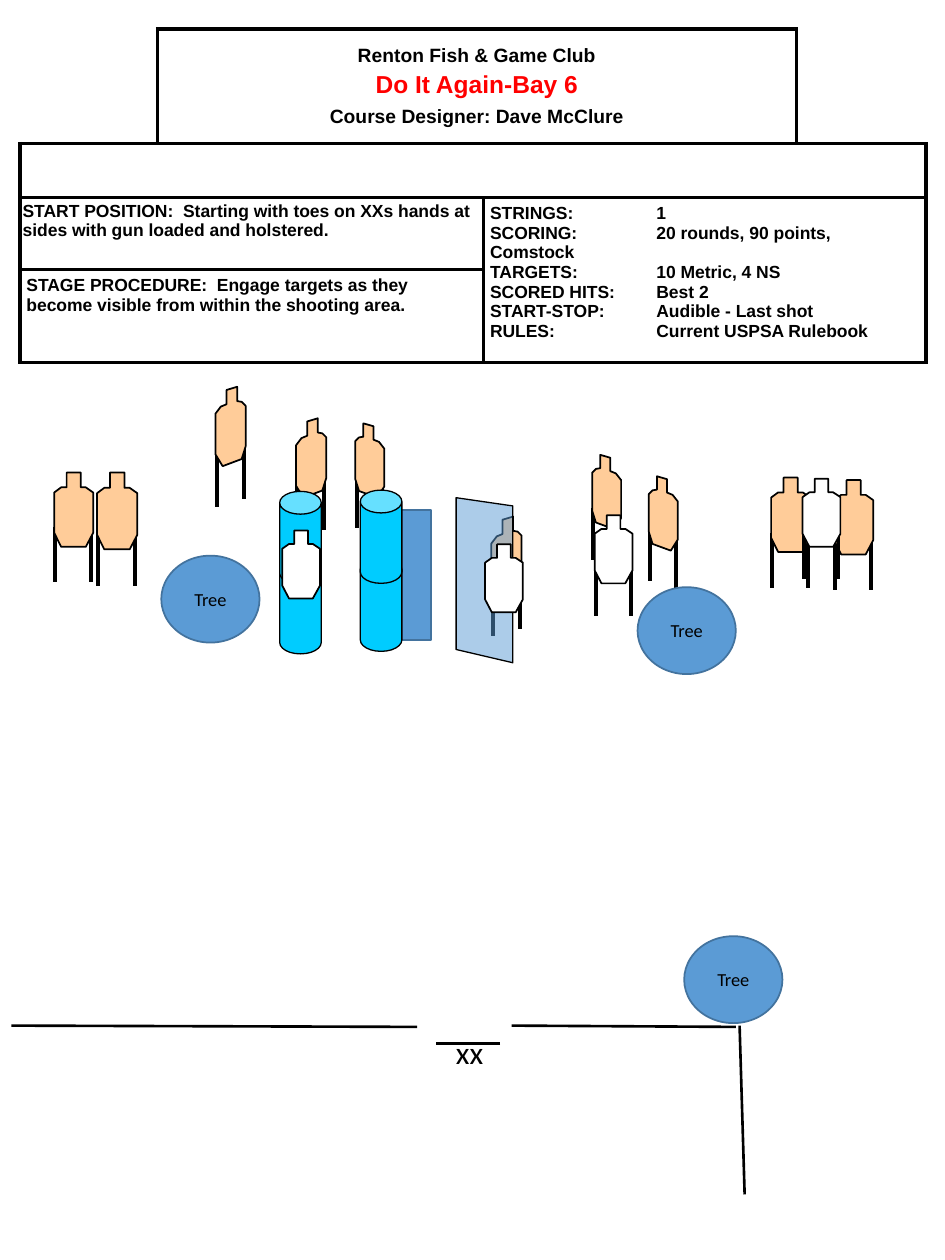
from lxml import etree
from pptx import Presentation
from pptx import util as u
from pptx.dml.color import RGBColor
from pptx.enum import shapes as sh, text as tx
from pptx.oxml.ns import qn

PX = 9144  # 100 px to the inch
BLACK = RGBColor(0x00, 0x00, 0x00)
WHITE = RGBColor(0xFF, 0xFF, 0xFF)
RED = RGBColor(0xFF, 0x00, 0x00)
TAN = RGBColor(0xFF, 0xCC, 0x99)
BLUE = RGBColor(0x5B, 0x9B, 0xD5)
NAVY = RGBColor(0x43, 0x73, 0x9E)
CYAN = RGBColor(0x00, 0xCC, 0xFF)

# Target outlines on a 100 by 100 grid
FRONT = [(32, 0), (68, 0), (68, 20), (81, 20), (100, 27), (100, 81),
         (81, 100), (18, 100), (0, 81), (0, 27), (18, 20), (32, 20)]
RIGHT = [(37, 4), (72, 0), (72, 18), (87, 19), (100, 24), (100, 75),
         (87, 91), (24, 100), (0, 85), (0, 34), (18, 25), (37, 22)]
LEFT = [(100 - x, y) for x, y in RIGHT]
PANE = [(100, 5), (0, 0), (0, 92), (100, 100)]
# Leg tops as a share of the target's height, left then right
TOPS = {"front": (0.74, 0.74), "right": (0.81, 0.71), "left": (0.71, 0.81)}
FORMS = {"front": FRONT, "right": RIGHT, "left": LEFT}

prs = Presentation()
prs.slide_width, prs.slide_height = 750 * PX, 1000 * PX
slide = prs.slides.add_slide(prs.slide_layouts[6])


def paint(shape, fill, line, width):
    shape.shadow.inherit = False
    shape.fill.solid()
    shape.fill.fore_color.rgb = fill
    shape.line.color.rgb = line
    shape.line.width = u.Pt(width)


def draw(home, x1, y1, x2, y2, width):
    line = home.add_connector(sh.MSO_CONNECTOR.STRAIGHT,
                              *(round(v * PX) for v in (x1, y1, x2, y2)))
    line.line.color.rgb = BLACK
    line.line.width = u.Pt(width)
    etree.SubElement(line._element.spPr, qn("a:effectLst"))


# Stage sheet
grid = slide.shapes.add_table(4, 4, 16 * PX, 23 * PX, 719 * PX, 265 * PX).table
grid.first_row = grid.horz_banding = False
for col, wide in zip(grid.columns, (109, 259, 248, 103)):
    col.width = wide * PX
for row, high in zip(grid.rows, (91, 43, 57, 74)):
    row.height = high * PX
for r1, c1, r2, c2 in ((0, 1, 0, 2), (1, 0, 1, 3), (2, 0, 2, 1),
                       (2, 2, 3, 3), (3, 0, 3, 1)):
    grid.cell(r1, c1).merge(grid.cell(r2, c2))
for r in range(4):
    for c in range(4):
        cell = grid.cell(r, c)
        sides = {(0, 0): "RB", (0, 3): "LB"}.get((r, c), "LRTB")
        props = cell._tc.get_or_add_tcPr()
        for side in sides:
            edge = etree.SubElement(props, qn("a:ln" + side), w=str(u.Pt(2.25)))
            ink = etree.SubElement(edge, qn("a:solidFill"))
            etree.SubElement(ink, qn("a:srgbClr"), val=str(BLACK))
        cell.fill.solid()
        cell.fill.fore_color.rgb = WHITE

# Sheet text: row, column, margins, then text, size, colour, space before
HEAD = [("Renton Fish & Game Club", 11, BLACK, 0),
        ("Do It Again-Bay 6", 14, RED, 2.8),
        ("Course Designer: Dave McClure", 11, BLACK, 3.85)]
START = ("START POSITION:  Starting with toes on XXs hands at sides "
         "with gun loaded and holstered.")
STAGE = ("STAGE PROCEDURE:  Engage targets as they become visible "
         "from within the shooting area.")
FACTS = ["STRINGS:\t1", "SCORING:\t20 rounds, 90 points, Comstock",
         "TARGETS:\t10 Metric, 4 NS", "SCORED HITS:\tBest 2",
         "START-STOP:\tAudible - Last shot", "RULES:\tCurrent USPSA Rulebook"]
for r, c, side, top, lines in (
        (0, 1, 5, 5, HEAD), (2, 0, 2, 3, [(START, 10, BLACK, 0)]),
        (2, 2, 5, 5, [(fact, 10, BLACK, 0) for fact in FACTS]),
        (3, 0, 5, 5, [(STAGE, 10, BLACK, 0)])):
    cell = grid.cell(r, c)
    cell.margin_left = cell.margin_right = side * PX
    cell.margin_top = cell.margin_bottom = top * PX
    if lines is HEAD:
        cell.vertical_anchor = tx.MSO_ANCHOR.MIDDLE
    for i, (words, size, ink, gap) in enumerate(lines):
        para = cell.text_frame.paragraphs[0] if i == 0 else cell.text_frame.add_paragraph()
        para.text = words
        if lines is HEAD:
            para.alignment = tx.PP_ALIGN.CENTER
        if gap:
            para.space_before = u.Pt(gap)
        if "\t" in words:
            tabs = etree.SubElement(para._p.get_or_add_pPr(), qn("a:tabLst"))
            etree.SubElement(tabs, qn("a:tab"), pos=str(132 * PX), algn="l")
        font = para.font
        font.name, font.size, font.bold = "Arial", u.Pt(size), True
        font.color.rgb = ink

# Range, back to front: kind, left, top, width, height, colour, legs
PARTS = [
    ("right", 235, 332, 24, 63, TAN, True),
    ("left", 470, 361, 23, 59, TAN, True),
    ("left", 515, 378, 23, 59, TAN, True),
    ("right", 390, 410, 24, 63, TAN, True),
    ("front", 43, 375, 31, 59, TAN, True),
    ("front", 77, 375, 32, 61, TAN, True),
    ("left", 282, 336, 23, 59, TAN, True),
    ("right", 171, 307, 24, 63, TAN, True),
    ("tree", 543, 743, 78, 69, BLUE, False),
    ("pane", 362, 395, 45, 131, BLUE, False),
    ("tree", 128, 441, 78, 69, BLUE, False),
    ("tree", 506, 466, 78, 69, BLUE, False),
    ("front", 612, 379, 31, 59, TAN, True),
    ("front", 662, 381, 31, 59, TAN, True),
    ("front", 637, 380, 30, 54, WHITE, True),
    ("can", 222, 445, 33, 74, CYAN, False),
    ("can", 222, 390, 33, 74, CYAN, False),
    ("wall", 301, 405, 41, 103, BLUE, False),
    ("can", 286, 443, 33, 74, CYAN, False),
    ("can", 286, 389, 33, 74, CYAN, False),
    ("front", 385, 432, 30, 54, WHITE, False),
    ("front", 472, 409, 30, 54, WHITE, True),
    ("front", 224, 421, 30, 54, WHITE, False),
]
SOLID = {"tree": sh.MSO_SHAPE.OVAL, "wall": sh.MSO_SHAPE.RECTANGLE,
         "can": sh.MSO_SHAPE.CAN}
for kind, x, y, w, h, fill, legs in PARTS:
    if kind in SOLID:
        item = slide.shapes.add_shape(SOLID[kind], x * PX, y * PX, w * PX, h * PX)
        if kind == "can":
            item.adjustments[0] = 0.55
            paint(item, fill, BLACK, 0.75)
        else:
            paint(item, fill, NAVY, 1)
        if kind == "tree":
            item.text_frame.vertical_anchor = tx.MSO_ANCHOR.MIDDLE
            para = item.text_frame.paragraphs[0]
            para.text = "Tree"
            para.alignment = tx.PP_ALIGN.CENTER
            para.font.name, para.font.size = "Calibri", u.Pt(10.5)
            para.font.color.rgb = BLACK
        continue
    home = slide.shapes.add_group_shape().shapes if legs else slide.shapes
    if legs:
        for foot, top in zip((x + 1, x + w - 1.5), TOPS[kind]):
            draw(home, foot, y + top * h, foot, y + (top + 0.74 - 0.04 * (kind != "front")) * h, 2.25)
    points = FORMS.get(kind, PANE)
    form = home.build_freeform(*points[0], scale=(w * PX / 100, h * PX / 100))
    form.add_line_segments(points[1:], close=True)
    item = form.convert_to_shape(x * PX, y * PX)
    paint(item, fill, BLACK, 0.75 if kind == "pane" else 1)
    if kind == "pane":
        tint = item._element.spPr.find(qn("a:solidFill"))[0]
        etree.SubElement(tint, qn("a:alpha"), val="50000")

# Fault lines and start mark
for ends in ((587, 814, 591, 948), (331, 815, 9, 814),
             (584, 815, 406, 814), (397, 828, 346, 828)):
    draw(slide.shapes, *ends, 1.5)
mark = slide.shapes.add_textbox(352 * PX, 815 * PX, 51 * PX, 40 * PX)
mark.text_frame.word_wrap = True
para = mark.text_frame.paragraphs[0]
para.text = "xx"
para.font.name, para.font.size = "Calibri", u.Pt(18)
para.font.color.rgb = BLACK

prs.save("out.pptx")
